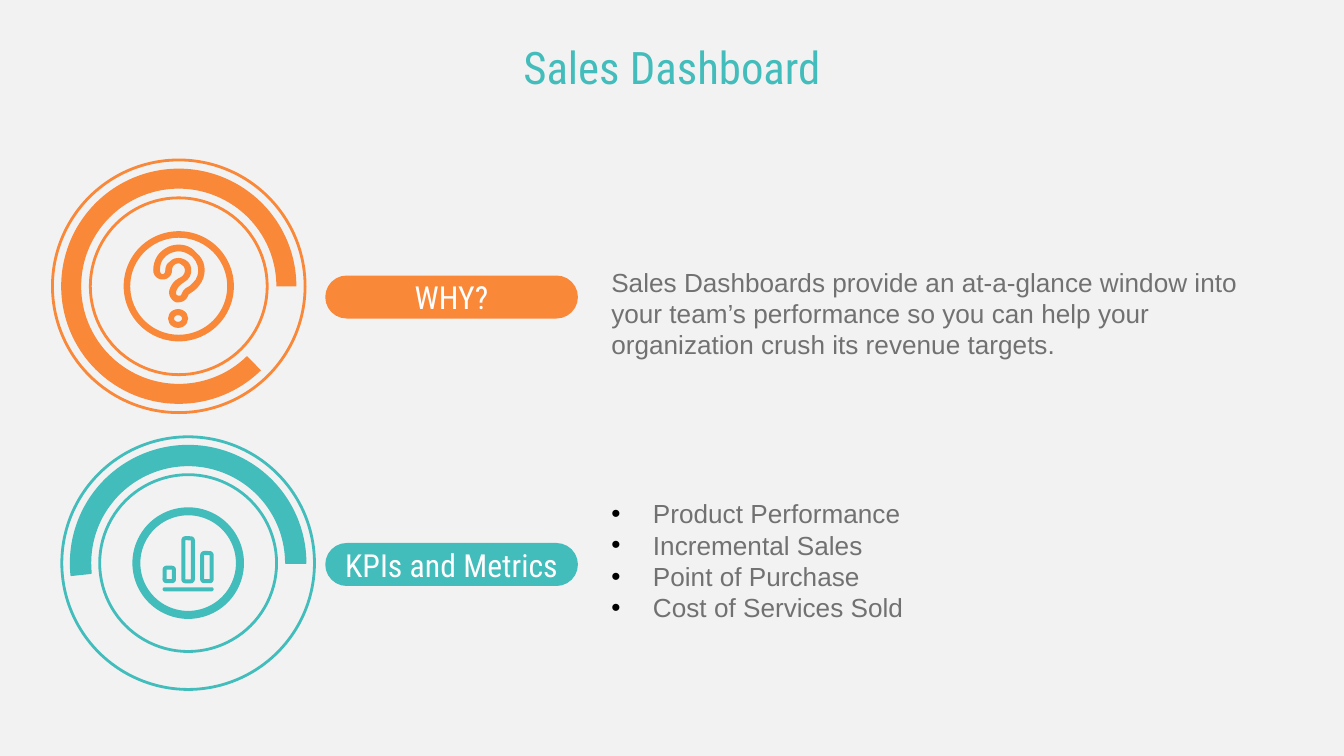
from lxml import etree
from pptx import Presentation
from pptx.dml.color import RGBColor
from pptx.enum.shapes import MSO_SHAPE
from pptx.enum.text import MSO_ANCHOR, PP_ALIGN
from pptx.oxml.ns import qn
from pptx.util import Inches, Pt

ROUNDED = MSO_SHAPE.ROUNDED_RECTANGLE
DONUT = MSO_SHAPE.DONUT
BLOCK_ARC = MSO_SHAPE.BLOCK_ARC
CENTER = PP_ALIGN.CENTER
MIDDLE, TOP = MSO_ANCHOR.MIDDLE, MSO_ANCHOR.TOP

ORANGE, TEAL, GRAY, WHITE = "FA8839", "42BDBB", "717171", "FFFFFF"
BODY_FONT, HEAD_FONT = "Arial", "Roboto Condensed"

# Content: badge is the left and top of the outer ring, start the arc angle
TITLE = "Sales Dashboard"
SECTIONS = [
    dict(label="WHY?", color=ORANGE, badge=(0.39, 1.19), start=45.65,
         edge=None, label_top=2.05, text_top=1.71, bottom_inset=0.3,
         bullets=False,
         lines=["Sales Dashboards provide an at-a-glance window into your "
                "team’s performance so you can help your organization "
                "crush its revenue targets."]),
    dict(label="KPIs and Metrics", color=TEAL, badge=(0.46, 3.25), start=174.02,
         edge=0.75, label_top=4.04, text_top=3.45, bottom_inset=0.1,
         bullets=True,
         lines=["Product Performance", "Incremental Sales",
                "Point of Purchase", "Cost of Services Sold"]),
]
RING, ARC, DISC = 1.88, 1.75, 0.82
BARS = [(1.21, 4.21), (1.35, 3.99), (1.49, 4.1)]
BAR_WIDTH, BAR_BOTTOM, BAR_LINE = 0.1, 4.34, 0.03

# Question mark hook: each contour is a start point and Bezier curves
HOOK = [
    ((1.33, 1.87), [
        ((1.37, 1.87), (1.4, 1.89), (1.43, 1.91)),
        ((1.49, 1.97), (1.49, 2.06), (1.43, 2.11)),
        ((1.42, 2.12), (1.41, 2.13), (1.39, 2.14)),
        ((1.37, 2.15), (1.36, 2.17), (1.35, 2.19)),
        ((1.35, 2.2), (1.34, 2.2), (1.33, 2.2)),
        ((1.31, 2.2), (1.31, 2.19), (1.31, 2.17)),
        ((1.32, 2.14), (1.34, 2.12), (1.37, 2.1)),
        ((1.43, 2.07), (1.44, 1.99), (1.4, 1.95)),
        ((1.38, 1.93), (1.35, 1.92), (1.33, 1.92)),
        ((1.3, 1.92), (1.28, 1.93), (1.26, 1.95)),
        ((1.24, 1.96), (1.23, 1.99), (1.23, 2.01)),
        ((1.23, 2.03), (1.22, 2.04), (1.21, 2.04)),
        ((1.2, 2.04), (1.19, 2.03), (1.19, 2.01)),
        ((1.19, 1.97), (1.2, 1.94), (1.23, 1.91)),
        ((1.25, 1.89), (1.29, 1.87), (1.33, 1.87))]),
    ((1.33, 1.82), [
        ((1.28, 1.82), (1.23, 1.84), (1.19, 1.88)),
        ((1.16, 1.91), (1.14, 1.96), (1.14, 2.01)),
        ((1.14, 2.05), (1.17, 2.08), (1.21, 2.08)),
        ((1.25, 2.08), (1.28, 2.05), (1.28, 2.01)),
        ((1.28, 1.98), (1.3, 1.96), (1.33, 1.96)),
        ((1.34, 1.96), (1.35, 1.97), (1.35, 1.97)),
        ((1.39, 1.99), (1.38, 2.04), (1.35, 2.06)),
        ((1.3, 2.08), (1.27, 2.12), (1.26, 2.16)),
        ((1.25, 2.2), (1.28, 2.24), (1.31, 2.25)),
        ((1.32, 2.25), (1.33, 2.25), (1.33, 2.25)),
        ((1.36, 2.25), (1.39, 2.23), (1.4, 2.2)),
        ((1.4, 2.2), (1.4, 2.19), (1.42, 2.18)),
        ((1.47, 2.15), (1.51, 2.1), (1.52, 2.04)),
        ((1.53, 1.98), (1.51, 1.92), (1.46, 1.88)),
        ((1.43, 1.84), (1.38, 1.82), (1.33, 1.82))]),
]


def rgb(color):
    return RGBColor.from_string(color)


def paint(shape, fill=None, line=None, width=None):
    shape.shadow.inherit = False
    if fill:
        shape.fill.solid()
        shape.fill.fore_color.rgb = rgb(fill)
    else:
        shape.fill.background()
    if width:
        shape.line.color.rgb = rgb(line)
        shape.line.width = Pt(width)
    else:
        shape.line.fill.background()


def add_preset(shapes, kind, place, adjustments, **style):
    shape = shapes.add_shape(kind, *map(Inches, place))
    for index, value in enumerate(adjustments):
        shape.adjustments[index] = value
    paint(shape, **style)
    return shape


def add_bullet(para):
    props = para._p.get_or_add_pPr()
    props.set("marL", str(Inches(0.31)))
    props.set("indent", str(-Inches(0.31)))
    color = etree.SubElement(props, qn("a:buClr"))
    etree.SubElement(color, qn("a:srgbClr")).set("val", "000000")
    etree.SubElement(props, qn("a:buFont")).set("typeface", BODY_FONT)
    etree.SubElement(props, qn("a:buChar")).set("char", "•")


def write(shape, lines, font, size, color, align=None, anchor=MIDDLE,
          insets=(0.1, 0.1), bullets=False):
    frame = shape.text_frame
    frame.word_wrap = True
    frame.vertical_anchor = anchor
    frame.margin_left = frame.margin_right = Inches(0.1)
    frame.margin_top, frame.margin_bottom = map(Inches, insets)
    for index, line in enumerate(lines):
        para = frame.add_paragraph() if index else frame.paragraphs[0]
        if bullets:
            add_bullet(para)
        if align is not None:
            para.alignment = align
        span = para.add_run()
        span.text = line
        span.font.name = font
        span.font.size = Pt(size)
        span.font.color.rgb = rgb(color)


def trace(start, curves, steps=6):
    """Points along the curves, in thousandths of an inch."""
    points = [start]
    for a, b, end in curves:
        origin = points[-1]
        for step in range(1, steps + 1):
            t = step / steps
            points.append(tuple(
                (1 - t) ** 3 * p + 3 * (1 - t) ** 2 * t * q
                + 3 * (1 - t) * t ** 2 * r + t ** 3 * s
                for p, q, r, s in zip(origin, a, b, end)))
    return [(round(x * 1000), round(y * 1000)) for x, y in points]


def add_question_mark(shapes, color):
    first, second = (trace(*contour) for contour in HOOK)
    builder = shapes.build_freeform(*first[0], scale=Inches(1) / 1000)
    builder.add_line_segments(first[1:])
    builder.move_to(*second[0])
    builder.add_line_segments(second[1:])
    paint(builder.convert_to_shape(), fill=color)
    add_preset(shapes, DONUT, (1.25, 2.3, 0.15, 0.14), [0.32], fill=color)


def add_bar_icon(shapes, color):
    add_preset(shapes, ROUNDED, (1.21, 4.37, 0.38, 0.03), [0.5], fill=color)
    for left, top in BARS:
        place = (left + BAR_LINE / 2, top + BAR_LINE / 2,
                 BAR_WIDTH - BAR_LINE, BAR_BOTTOM - top - BAR_LINE)
        add_preset(shapes, ROUNDED, place, [0.2], line=color, width=BAR_LINE * 72)


def add_badge(page, section, add_icon):
    shapes = page.shapes.add_group_shape().shapes
    color, edge = section["color"], section["edge"]
    left, top = section["badge"]

    def centered(size):
        gap = (RING - size) / 2
        return left + gap, top + gap, size, size

    add_preset(shapes, DONUT, centered(RING), [0.15], line=color, width=1.5)
    # Arc angles count in units of 5/3 degree
    add_preset(shapes, BLOCK_ARC, centered(ARC), [section["start"] * 0.6, 215.998, 0.085],
               fill=color, line=color, width=edge)
    add_preset(shapes, DONUT, centered(DISC), [0.06],
               fill=color, line=color, width=edge)
    add_icon(shapes, color)


deck = Presentation()
deck.slide_width, deck.slide_height = Inches(10), Inches(10) * 9 // 16
page = deck.slides.add_slide(deck.slide_layouts[6])
page.background.fill.solid()
page.background.fill.fore_color.rgb = rgb("F2F2F2")

# Sections: badge, pill label and text
for section, add_icon in zip(SECTIONS, (add_question_mark, add_bar_icon)):
    add_badge(page, section, add_icon)
    pill = add_preset(page.shapes, ROUNDED, (2.42, section["label_top"], 1.88, 0.32),
                      [0.5], fill=section["color"])
    write(pill, [section["label"]], HEAD_FONT, 17, WHITE, CENTER)
    box = page.shapes.add_textbox(*map(Inches, (4.45, section["text_top"], 5.29, 1.44)))
    write(box, section["lines"], BODY_FONT, 14, GRAY, bullets=section["bullets"],
          insets=(0.1, section["bottom_inset"]))

# Title
box = page.shapes.add_textbox(*map(Inches, (0, 0.25, 10, 0.5)))
write(box, [TITLE], HEAD_FONT, 24, TEAL, CENTER, TOP, (0.05, 0.05))

deck.save("out.pptx")
